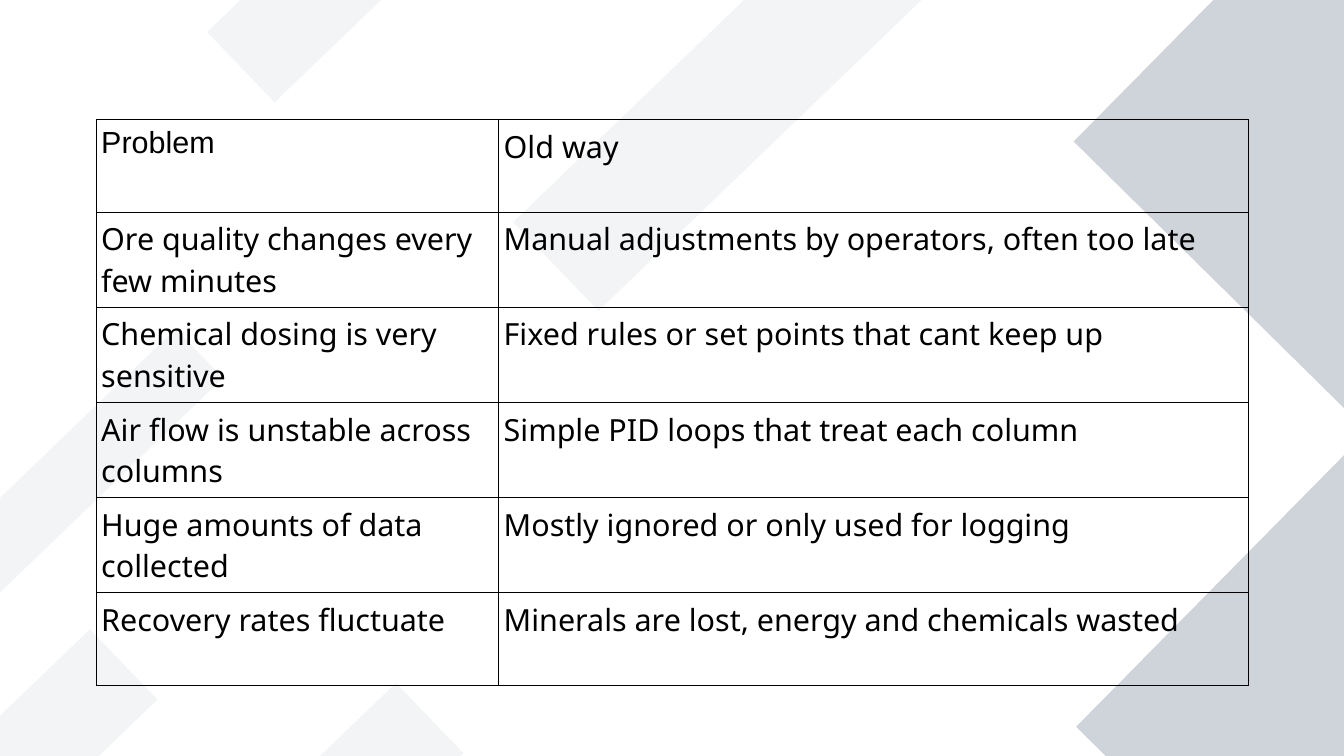
from lxml import etree
from pptx import Presentation
from pptx.dml.color import RGBColor
from pptx.enum import shapes
from pptx.oxml import ns
from pptx.util import Inches, Pt

COLORS = {"diamond": "CED4DA", "stripe": "8D99AE", "ink": "000000"}
DIAMONDS = [(9.46, -0.44, 3.17, 3.17), (9.48, 4.36, 3.17, 3.17)]
STRIPES = [
    (1.09, 6.47, 2.83, 0.8),
    (-1.42, 6.03, 2.83, 0.8),
    (4.03, 0.37, 3.78, 1.01),
    (1.58, -0.83, 2.83, 0.8),
    (-0.8, 3.6, 2.83, 0.56),
]
ROWS = [
    ("Problem", "Old way"),
    ("Ore quality changes every few minutes", "Manual adjustments by operators, often too late"),
    ("Chemical dosing is very sensitive", "Fixed rules or set points that cant keep up"),
    ("Air flow is unstable across columns", "Simple PID loops that treat each column"),
    ("Huge amounts of data collected", "Mostly ignored or only used for logging"),
    ("Recovery rates fluctuate", "Minerals are lost, energy and chemicals wasted"),
]
COLUMN_WIDTHS = (3.3, 6.15)
ROW_HEIGHT = 0.76


def add_tilted_rect(page, bounds, angle, color):
    rect = page.shapes.add_shape(shapes.MSO_SHAPE.RECTANGLE, *map(Inches, bounds))
    rect.rotation = angle
    rect.shadow.inherit = False
    rect.line.fill.background()
    rect.fill.solid()
    rect.fill.fore_color.rgb = RGBColor.from_string(COLORS[color])
    return rect


def add_borders(cell):
    properties = cell._tc.get_or_add_tcPr()
    for side in ("a:lnL", "a:lnR", "a:lnT", "a:lnB"):
        line = etree.SubElement(properties, ns.qn(side), w=str(Pt(0.57)))
        fill = etree.SubElement(line, ns.qn("a:solidFill"))
        etree.SubElement(fill, ns.qn("a:srgbClr"), val=COLORS["ink"])


deck = Presentation()
deck.slide_width, deck.slide_height = Inches(11.02), Inches(6.2)
page = deck.slides.add_slide(deck.slide_layouts[6])

for bounds in DIAMONDS:
    add_tilted_rect(page, bounds, 314.6, "diamond")
for bounds in STRIPES:
    stripe = add_tilted_rect(page, bounds, 316.1, "stripe")
    color = stripe.fill._xPr.find(".//" + ns.qn("a:srgbClr"))
    etree.SubElement(color, ns.qn("a:alpha"), val="10000")

frame = page.shapes.add_table(
    len(ROWS), len(COLUMN_WIDTHS), Inches(0.79), Inches(0.98),
    Inches(sum(COLUMN_WIDTHS)), Inches(ROW_HEIGHT * len(ROWS)))
table = frame.table
table.first_row = table.horz_banding = False
for column, width in zip(table.columns, COLUMN_WIDTHS):
    column.width = Inches(width)

for row_index, labels in enumerate(ROWS):
    table.rows[row_index].height = Inches(ROW_HEIGHT)
    for column_index, label in enumerate(labels):
        cell = table.cell(row_index, column_index)
        cell.margin_left = cell.margin_right = Inches(0.04)
        cell.margin_top = cell.margin_bottom = Inches(0.05)
        add_borders(cell)
        cell.fill.background()
        cell.text = label
        font = cell.text_frame.paragraphs[0].font
        font.name = "Arial" if label == "Problem" else "Noto Sans"
        font.size = Pt(18)
        font.bold = False
        font.color.rgb = RGBColor.from_string(COLORS["ink"])

deck.save("out.pptx")
